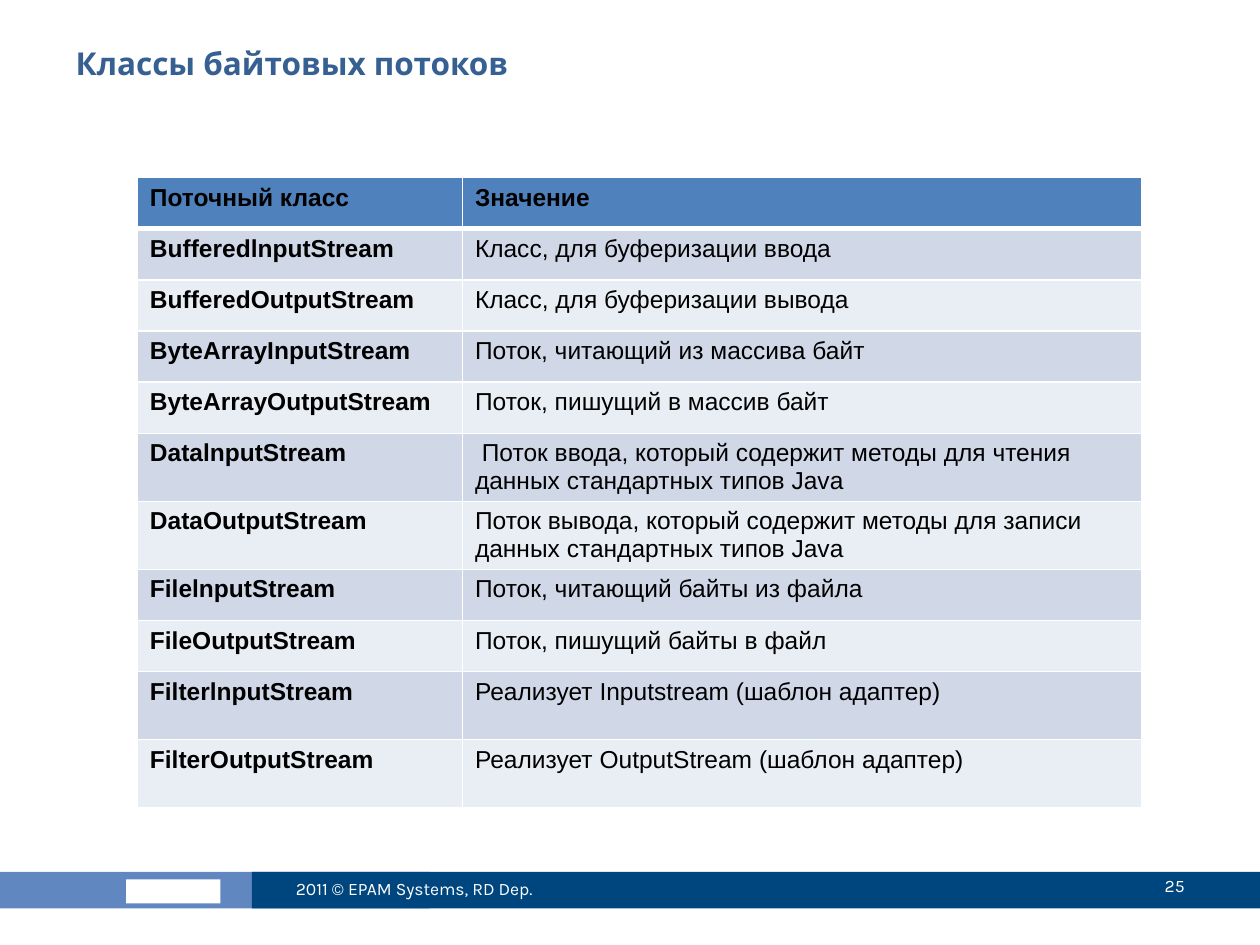
from dataclasses import dataclass

from lxml import etree
from pptx import Presentation
from pptx.dml.color import RGBColor
from pptx.enum.shapes import MSO_SHAPE
from pptx.enum.text import MSO_ANCHOR, PP_ALIGN
from pptx.oxml.ns import qn
from pptx.util import Inches, Pt

RECT = MSO_SHAPE.RECTANGLE
TOP, MIDDLE = MSO_ANCHOR.TOP, MSO_ANCHOR.MIDDLE
LEFT, RIGHT = PP_ALIGN.LEFT, PP_ALIGN.RIGHT
COLS, ROWS = 100, 75


@dataclass(frozen=True)
class Theme:
    white: str = "FFFFFF"
    ink: str = "000000"
    title: str = "376092"
    head: str = "4F81BD"
    bands: tuple = ("E9EDF4", "D0D8E8")
    light: str = "6087BF"
    navy: str = "00467E"
    brand: str = "Karla"
    plain: str = "Arial"
    large: int = 18
    normal: int = 14
    small: int = 10


def write(frame, text, *, font, size, color, bold=False, align=LEFT, anchor=TOP):
    frame.word_wrap = True
    frame.vertical_anchor = anchor
    par = frame.paragraphs[0]
    par.alignment = align
    run = par.add_run()
    run.text = text
    run.font.name = font
    run.font.size = Pt(size)
    run.font.bold = bold
    run.font.color.rgb = RGBColor.from_string(color)


def edge(cell, side, width, color):
    line = etree.SubElement(cell._tc.get_or_add_tcPr(), qn(f"a:ln{side}"), w=str(Pt(width)))
    fill = etree.SubElement(line, qn("a:solidFill"))
    etree.SubElement(fill, qn("a:srgbClr"), val=color)


class Page:
    """Draws styled elements on one slide, with lengths in grid columns and rows."""

    def __init__(self, deck, theme):
        self.theme = theme
        self.wide = deck.slide_width / COLS
        self.high = deck.slide_height / ROWS
        self.slide = deck.slides.add_slide(deck.slide_layouts[5])

    def place(self, x, y, w, h):
        return [round(n * unit) for n, unit in
                zip((x, y, w, h), (self.wide, self.high) * 2)]

    def title(self, text, *box):
        shape = self.slide.shapes.title
        shape.left, shape.top, shape.width, shape.height = self.place(*box)
        write(shape.text_frame, text, font=self.theme.brand,
              size=self.theme.large, color=self.theme.title, bold=True)

    def block(self, color, *box):
        shape = self.slide.shapes.add_shape(RECT, *self.place(*box))
        shape.shadow.inherit = False
        shape.fill.solid()
        shape.fill.fore_color.rgb = RGBColor.from_string(color)
        shape.line.fill.background()

    def note(self, text, *box, align=LEFT):
        shape = self.slide.shapes.add_textbox(*self.place(*box))
        write(shape.text_frame, text, font=self.theme.brand, size=self.theme.small,
              color=self.theme.white, align=align, anchor=MIDDLE)

    def table(self, data, x, y, widths, heights):
        box = self.place(x, y, sum(widths), sum(heights))
        grid = self.slide.shapes.add_table(len(data), len(widths), *box).table
        grid.horz_banding = False
        for col, width in zip(grid.columns, widths):
            col.width = round(width * self.wide)
        for i, (row, height) in enumerate(zip(data, heights)):
            grid.rows[i].height = round(height * self.high)
            for j, text in enumerate(row):
                self.cell(grid.cell(i, j), text, i, j)

    def cell(self, cell, text, i, j):
        theme = self.theme
        for side in "LRTB":
            thick = (i, side) in ((0, "B"), (1, "T"))
            edge(cell, side, 3 if thick else 1, theme.white)
        cell.fill.solid()
        cell.fill.fore_color.rgb = RGBColor.from_string(
            theme.bands[i % 2] if i else theme.head)
        write(cell.text_frame, text, font=theme.plain, size=theme.normal,
              color=theme.ink, bold=i == 0 or j == 0)


STREAMS = [
    ("Поточный класс", "Значение"),
    ("BufferedlnputStream", "Класс, для буферизации ввода"),
    ("BufferedOutputStream", "Класс, для буферизации вывода"),
    ("ByteArrayInputStream", "Поток, читающий из массива байт"),
    ("ByteArrayOutputStream", "Поток, пишущий в массив байт"),
    ("DatalnputStream", " Поток ввода, который содержит методы для чтения данных стандартных типов Java"),
    ("DataOutputStream", "Поток вывода, который содержит методы для записи данных стандартных типов Java"),
    ("FilelnputStream", "Поток, читающий байты из файла"),
    ("FileOutputStream", "Поток, пишущий байты в файл"),
    ("FilterlnputStream", "Реализует Inputstream (шаблон адаптер)"),
    ("FilterOutputStream", "Реализует OutputStream (шаблон адаптер)"),
]
TALL = (5, 6, 9, 10)


def main():
    deck = Presentation()
    deck.slide_width, deck.slide_height = Inches(10), Inches(7.5)
    theme = Theme()
    page = Page(deck, theme)
    page.block(theme.light, -0.2, 69.2, 34.3, 2.9)
    page.block(theme.white, 10, 69.8, 7.5, 1.9)
    page.block(theme.navy, 20, 69.2, 80, 2.9)
    page.title("Классы байтовых потоков", 5, 3, 90, 7.8)
    heights = [5.4 if i in TALL else 4.06 for i in range(len(STREAMS))]
    page.table(STREAMS, 10.9, 14.1, (25.8, 53.9), heights)
    page.note("2011 © EPAM Systems, RD Dep.", 22.5, 68.5, 26.7, 4)
    page.note("25", 84.2, 68.3, 10.8, 4, align=RIGHT)
    deck.save("out.pptx")


if __name__ == "__main__":
    main()
